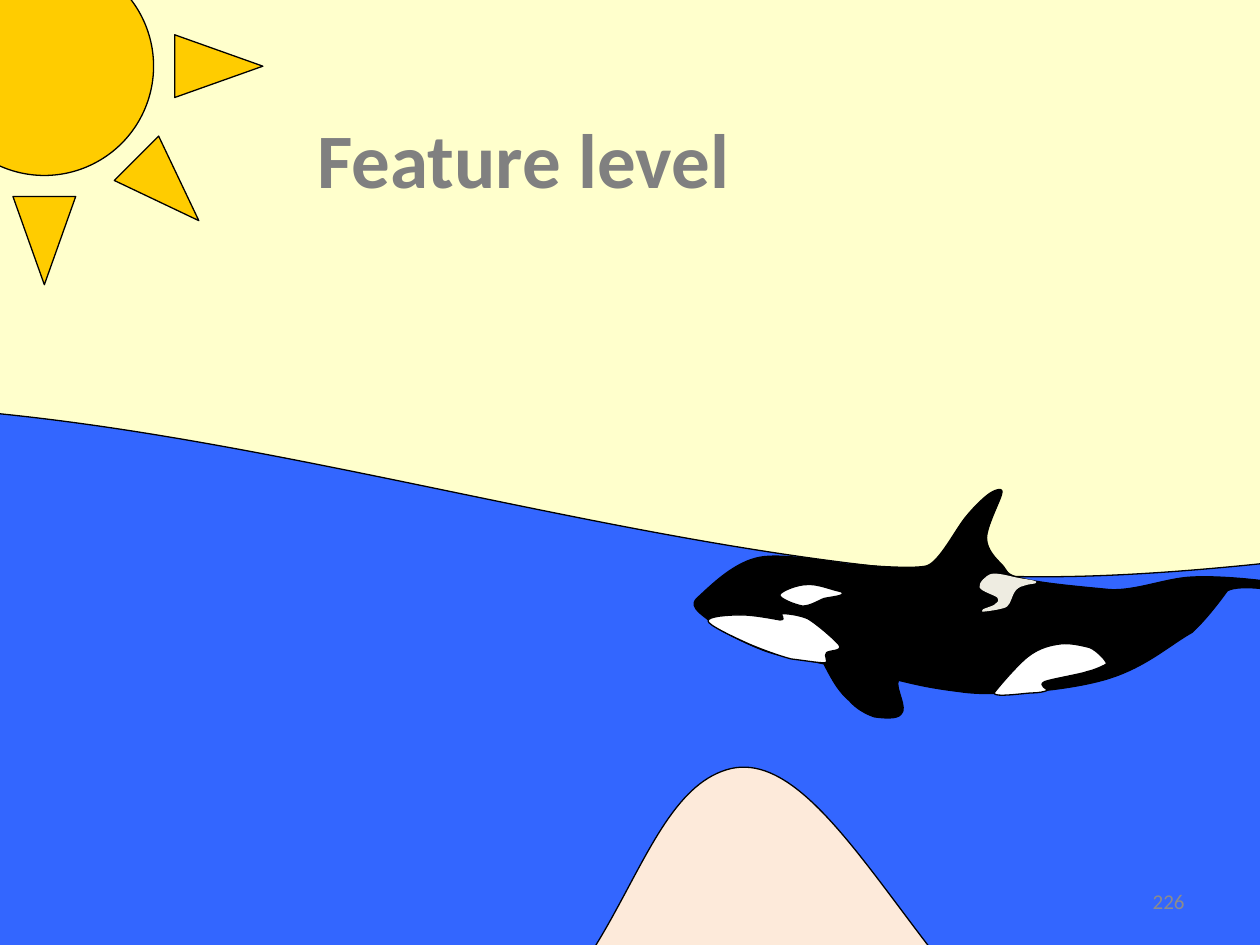
from lxml.etree import SubElement
from pptx import Presentation
from pptx.dml.color import RGBColor
from pptx.enum.shapes import MSO_SHAPE
from pptx.enum.text import MSO_ANCHOR, MSO_AUTO_SIZE, PP_ALIGN
from pptx.oxml.ns import qn
from pptx.util import Cm, Pt

INCH = Cm(2.54)


def color(target, value):
    """Give a fill or a font colour a hex value."""
    if hasattr(target, "solid"):
        target.solid()
        target = target.fore_color
    target.rgb = RGBColor.from_string(value)


def curve(shapes, points):
    """Closed outline: a start point, then three points per cubic curve."""
    # The frame is the extent of the curves themselves
    spots = [[sum(w * pt[k] for w, pt in zip((u**3, 3 * u * u * t, 3 * u * t * t, t**3), points[i:i + 4]))
              for k in (0, 1)]
             for i in range(0, len(points) - 3, 3)
             for t, u in ((n / 20, 1 - n / 20) for n in range(21))]
    xs, ys = zip(*spots)
    left, top = min(xs), min(ys)
    fb = shapes.build_freeform(int(left * INCH), int(top * INCH), scale=1.0)
    fb.add_line_segments([(int(max(xs) * INCH), int(max(ys) * INCH))], close=True)
    sp = fb.convert_to_shape()

    # Put cubic curves in place of the straight segment
    outline = sp._element.find(".//" + qn("a:path"))
    for old in list(outline):
        outline.remove(old)
    steps = [("a:moveTo", points[:1])]
    steps += [("a:cubicBezTo", points[i:i + 3]) for i in range(1, len(points), 3)]
    for tag, group in steps:
        step = SubElement(outline, qn(tag))
        for x, y in group:
            SubElement(step, qn("a:pt"), x=str(round((x - left) * INCH)), y=str(round((y - top) * INCH)))
    SubElement(outline, qn("a:close"))
    return sp


prs = Presentation()
prs.slide_width, prs.slide_height = Cm(25.4), Cm(19.05)
s = prs.slides.add_slide(prs.slide_layouts[6])
color(s.background.fill, "FFFFCC")

# Outlines in inches
sea = [
    (-22.25, 6.08), (-21.08, 4.61), (-18.26, 4.4), (-16.26, 4.26),
    (-14.27, 4.12), (-12.72, 5.4), (-10.29, 5.23), (-7.86, 5.05), (-4.69, 3.33), (-1.7, 3.22),
    (1.29, 3.11), (4.6, 4.36), (7.68, 4.56), (10.76, 4.76), (15.46, 3.21), (16.76, 4.42),
    (18.06, 5.62), (16.81, 10.27), (15.46, 11.8), (14.12, 13.33), (15.16, 13.4), (8.7, 13.62),
    (2.25, 13.84), (-18.13, 14.4), (-23.29, 13.1), (-28.45, 11.8), (-23.42, 7.55), (-22.25, 6.08)]
body = [
    (6.08, 5.17), (5.94, 5.12), (5.68, 4.99), (5.65, 4.95),
    (5.62, 4.9), (5.45, 4.83), (5.53, 4.75), (5.62, 4.67), (5.8, 4.48), (6, 4.43),
    (6.22, 4.37), (6.75, 4.5), (6.8, 4.48), (6.87, 4.49), (7.27, 4.52), (7.36, 4.49),
    (7.46, 4.45), (7.58, 4.21), (7.66, 4.11), (7.74, 4.01), (7.82, 3.94), (7.85, 3.92),
    (7.89, 3.89), (7.97, 3.86), (7.95, 3.92), (7.94, 3.97), (7.83, 4.18), (7.83, 4.27),
    (7.83, 4.36), (7.9, 4.43), (7.95, 4.48), (8, 4.53), (7.97, 4.56), (8.11, 4.59),
    (8.25, 4.63), (8.61, 4.66), (8.81, 4.68), (9.02, 4.69), (9.25, 4.59), (9.46, 4.58),
    (9.68, 4.57), (9.96, 4.6), (10.1, 4.62), (10.25, 4.63), (10.34, 4.68), (10.34, 4.69),
    (10.33, 4.7), (10.39, 4.73), (10.29, 4.73), (10.21, 4.69), (9.84, 4.63), (9.74, 4.69),
    (9.69, 4.76), (9.57, 4.92), (9.46, 5.02), (9.28, 5.12), (9.08, 5.31), (8.75, 5.4),
    (8.42, 5.49), (7.87, 5.53), (7.62, 5.49), (7.37, 5.46), (7.26, 5.43), (7.13, 5.4),
    (7.1, 5.46), (7.21, 5.62), (7.15, 5.67), (7.12, 5.71), (7.01, 5.7), (6.94, 5.69),
    (6.88, 5.67), (6.8, 5.63), (6.74, 5.56), (6.67, 5.5), (6.62, 5.43), (6.54, 5.27),
    (6.28, 5.21), (6.23, 5.22), (6.08, 5.17)]
eye_patch = [
    (6.19, 4.72), (6.2, 4.69), (6.33, 4.64), (6.4, 4.64),
    (6.48, 4.63), (6.6, 4.68), (6.65, 4.69), (6.7, 4.7), (6.69, 4.71), (6.68, 4.72),
    (6.67, 4.73), (6.59, 4.74), (6.54, 4.75), (6.49, 4.77), (6.43, 4.81), (6.37, 4.81),
    (6.31, 4.8), (6.18, 4.75), (6.19, 4.72)]
jaw = [
    (5.62, 4.93), (5.61, 4.89), (5.79, 4.88), (5.88, 4.88),
    (5.98, 4.88), (6.13, 4.91), (6.19, 4.92), (6.25, 4.92), (6.18, 4.87), (6.21, 4.87),
    (6.25, 4.87), (6.34, 4.88), (6.41, 4.91), (6.48, 4.95), (6.63, 5.08), (6.66, 5.12),
    (6.69, 5.17), (6.58, 5.16), (6.56, 5.18), (6.53, 5.2), (6.59, 5.26), (6.54, 5.26),
    (6.49, 5.26), (6.37, 5.24), (6.28, 5.23), (6.2, 5.21), (6.03, 5.15), (5.92, 5.1),
    (5.81, 5.05), (5.62, 4.96), (5.62, 4.93)]
belly = [
    (8.16, 5.21), (8.25, 5.14), (8.34, 5.12), (8.42, 5.11),
    (8.5, 5.1), (8.61, 5.13), (8.65, 5.14), (8.7, 5.16), (8.79, 5.25), (8.78, 5.27),
    (8.77, 5.28), (8.68, 5.32), (8.63, 5.33), (8.58, 5.35), (8.34, 5.39), (8.29, 5.41),
    (8.23, 5.44), (8.32, 5.47), (8.31, 5.48), (8.29, 5.49), (8.24, 5.5), (8.19, 5.5),
    (8.14, 5.5), (7.88, 5.54), (7.89, 5.5), (7.91, 5.47), (8.08, 5.27), (8.16, 5.21)]
saddle = [
    (7.78, 4.66), (7.77, 4.63), (7.83, 4.57), (7.87, 4.56),
    (7.92, 4.55), (8.02, 4.58), (8.07, 4.59), (8.12, 4.6), (8.21, 4.61), (8.22, 4.62),
    (8.23, 4.63), (8.16, 4.63), (8.14, 4.64), (8.11, 4.65), (8.09, 4.65), (8.06, 4.68),
    (8.03, 4.71), (8.02, 4.79), (7.99, 4.81), (7.97, 4.83), (7.82, 4.85), (7.8, 4.85),
    (7.78, 4.84), (7.88, 4.82), (7.9, 4.8), (7.92, 4.79), (7.94, 4.77), (7.92, 4.74),
    (7.9, 4.72), (7.79, 4.69), (7.78, 4.66)]
sand = [
    (-21.27, 4.84), (-20.56, 3.15), (-20, 1.83), (-18, 1.69),
    (-16.01, 1.55), (-11.81, 2.94), (-9.31, 3.99), (-6.8, 5.05), (-4.82, 7.53), (-2.97, 8.02),
    (-1.13, 8.52), (2, 8.84), (3.46, 8.52), (4.92, 8.2), (4.97, 6.3), (5.8, 6.1),
    (6.63, 5.91), (7.4, 8.1), (8.69, 8.78), (9.98, 9.45), (12.26, 9.86), (13.55, 10.16),
    (14.85, 10.46), (17.09, 10.19), (16.44, 10.56), (15.79, 10.94), (16.14, 12.17), (9.68, 12.38),
    (3.23, 12.6), (-17.15, 13.16), (-22.31, 11.86), (-27.46, 10.56), (-22, 6.54), (-21.27, 4.84)]

# Sea, whale, sand and sun, from back to front
drawn = [(curve(s.shapes, sea), "3366FF", "000000")]
whale = s.shapes.add_group_shape()
for points, fill, line in [(body, "000000", "000000"), (eye_patch, "FFFFFF", "000000"),
                           (jaw, "FFFFFF", "000000"), (belly, "FFFFFF", "000000"),
                           (saddle, "EEECE1", "EEECE1")]:
    drawn.append((curve(whale.shapes, points), fill, line))
drawn.append((curve(s.shapes, sand), "FDEADA", "000000"))
sun = s.shapes.add_shape(MSO_SHAPE.SUN, Cm(-3.51), Cm(-3.07), Cm(8.81), Cm(8.81))
sun.adjustments[0] = 0.25
drawn.append((sun, "FFCC00", "000000"))
for sp, fill, line in drawn:
    sp.shadow.inherit = False
    color(sp.fill, fill)
    color(sp.line.fill, line)
    sp.line.width = Pt(0.75)

# Title and slide number
for text, box, frame, align, font, ink in [
    ("Feature level", (6.15, 2.13, 8.89, 2.13),
     {"word_wrap": False, "auto_size": MSO_AUTO_SIZE.SHAPE_TO_FIT_TEXT},
     PP_ALIGN.LEFT, {"name": "Calibri", "size": Pt(44), "bold": True}, "808080"),
    ("226", (18.21, 17.65, 5.92, 1.02),
     {"word_wrap": True, "vertical_anchor": MSO_ANCHOR.MIDDLE},
     PP_ALIGN.RIGHT, {"name": "Calibri", "size": Pt(12)}, "8C8C8C"),
]:
    tf = s.shapes.add_textbox(*[Cm(v) for v in box]).text_frame
    p = tf.paragraphs[0]
    p.alignment = align
    r = p.add_run()
    r.text = text
    for target, values in ((tf, frame), (r.font, font)):
        for key, value in values.items():
            setattr(target, key, value)
    color(r.font.color, ink)

prs.save("out.pptx")
